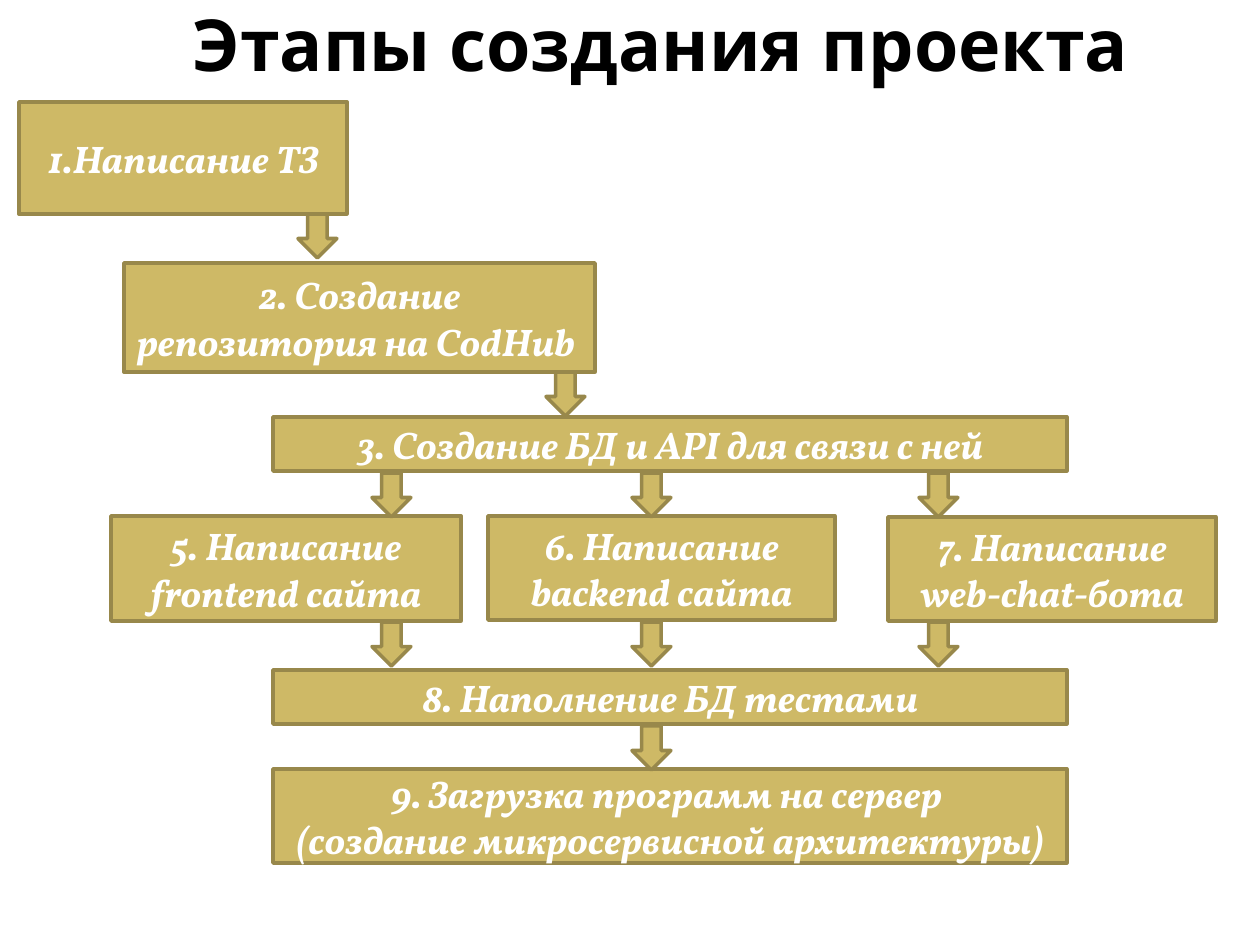
from pptx import Presentation
from pptx import util as u
from pptx.dml.color import RGBColor
from pptx.enum import shapes, text

# Content: (lines, left, top, width, height) in pixels
TITLE = ("Этапы создания проекта", 94, -23, 1134, 131)
WIDE_LEFT, WIDE_W = 273, 794
STAGES = [
    (["1.Написание ТЗ"], 19, 102, 328, 112),
    (["2. Создание репозитория на CodHub "], 124, 263, 471, 109),
    (["3. Создание БД и API для связи с ней"], WIDE_LEFT, 417, WIDE_W, 54),
    (["5. Написание frontend сайта"], 111, 516, 350, 105),
    (["6. Написание backend сайта"], 488, 516, 347, 104),
    (["7. Написание web-chat-бота"], 888, 517, 328, 104),
    (["8. Наполнение БД тестами"], WIDE_LEFT, 670, WIDE_W, 54),
    (["9. Загрузка программ на сервер ",
      "(создание микросервисной архитектуры)"], WIDE_LEFT, 769, WIDE_W, 94),
]
# Arrows: top -> left edges
BRANCHES = [372, 632, 919]
ARROWS = {214: [298], 372: [546], 473: BRANCHES, 622: BRANCHES, 726: [632]}
ARROW_W, ARROW_H = 39, 44

THEME = {
    "fill": RGBColor.from_string("CEB966"),
    "line": RGBColor.from_string("98884B"),
    "line_pt": 2,
    "title": dict(name="Noto Sans", size=41, color="000000", italic=False),
    "stage": dict(name="Vollkorn", size=22, color="FFFFFF", italic=True),
}
PX = u.Inches(1) / 126


def px(*values):
    return [u.Emu(round(v * PX)) for v in values]


def write(shape, lines, name, size, color, italic):
    tf = shape.text_frame
    tf.word_wrap = True
    tf.auto_size = text.MSO_AUTO_SIZE.NONE
    tf.vertical_anchor = text.MSO_ANCHOR.MIDDLE
    for i, line in enumerate(lines):
        p = tf.add_paragraph() if i else tf.paragraphs[0]
        p.alignment = text.PP_ALIGN.CENTER
        r = p.add_run()
        r.text = line
        r.font.name, r.font.size = name, u.Pt(size)
        r.font.bold, r.font.italic = True, italic
        r.font.color.rgb = RGBColor.from_string(color)


def add_block(kind, *box):
    sp = s.shapes.add_shape(kind, *px(*box))
    sp.shadow.inherit = False
    sp.fill.solid()
    sp.fill.fore_color.rgb = THEME["fill"]
    sp.line.color.rgb = THEME["line"]
    sp.line.width = u.Pt(THEME["line_pt"])
    return sp


prs = Presentation()
prs.slide_width, prs.slide_height = u.Inches(10), u.Inches(7.5)
s = prs.slides.add_slide(prs.slide_layouts[5])

# Title
title = s.shapes.title
title.left, title.top, title.width, title.height = px(*TITLE[1:])
write(title, [TITLE[0]], **THEME["title"])

# Stage boxes
for lines, *box in STAGES:
    write(add_block(shapes.MSO_SHAPE.RECTANGLE, *box), lines, **THEME["stage"])

# Arrows between stages
for top, lefts in ARROWS.items():
    for left in lefts:
        add_block(shapes.MSO_SHAPE.DOWN_ARROW, left, top, ARROW_W, ARROW_H)

prs.save("out.pptx")
